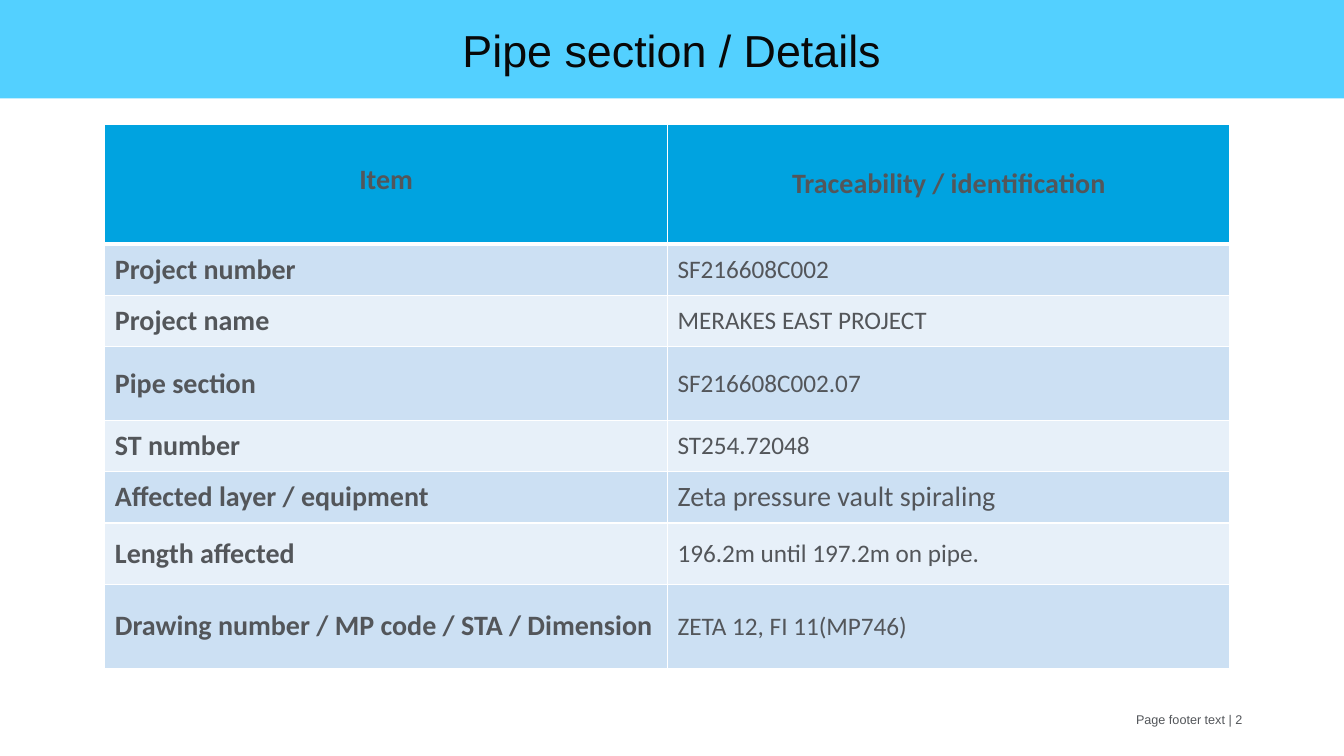
from lxml.etree import SubElement
from pptx import Presentation
from pptx.dml.color import RGBColor
from pptx.enum.text import MSO_ANCHOR, PP_ALIGN
from pptx.oxml.ns import qn
from pptx.util import Inches, Pt

SLIDE_WIDTH, SLIDE_HEIGHT = Inches(13.33), Inches(7.5)
TITLE_BLUE = RGBColor(0x53, 0xD0, 0xFF)
HEADER_BLUE = RGBColor(0x00, 0xA3, 0xE0)
BAND_COLORS = RGBColor(0xCC, 0xE0, 0xF3), RGBColor(0xE7, 0xF0, 0xF9)
TITLE_BLACK = RGBColor(0x08, 0x08, 0x08)
TEXT_GRAY = RGBColor(0x53, 0x56, 0x5A)
WHITE = RGBColor(0xFF, 0xFF, 0xFF)

HEADINGS = "Item", "Traceability / identification"
HEADING_HEIGHT = 1.19
# Item, identification, identification size in points, row height in inches
DETAILS = [
    ("Project number", "SF216608C002", 18, 0.51),
    ("Project name", "MERAKES EAST PROJECT", 18, 0.51),
    ("Pipe section", "SF216608C002.07", 18, 0.73),
    ("ST number", "ST254.72048", 18, 0.51),
    ("Affected layer / equipment", "Zeta pressure vault spiraling", 20, 0.51),
    ("Length affected", "196.2m until 197.2m on pipe.", 18, 0.61),
    ("Drawing number / MP code / STA / Dimension", "ZETA 12, FI 11(MP746)", 18, 0.83),
]


def write(text_frame, text, font_name, size, color, alignment, bold=False):
    text_frame.text = text
    paragraph = text_frame.paragraphs[0]
    paragraph.alignment = alignment
    font = paragraph.font
    font.name, font.size, font.bold = font_name, Pt(size), bold
    font.color.rgb = color


def set_borders(cell, top=1, bottom=1):
    """Give the cell white borders; widths are in points."""
    properties = cell._tc.get_or_add_tcPr()
    for side, width in (("L", 1), ("R", 1), ("T", top), ("B", bottom)):
        line = SubElement(properties, qn(f"a:ln{side}"), w=str(Pt(width)))
        fill = SubElement(line, qn("a:solidFill"))
        SubElement(fill, qn("a:srgbClr"), val=str(WHITE))


def format_cell(cell, text, color, size=20, bold=True, alignment=PP_ALIGN.LEFT,
                top=1, bottom=1):
    set_borders(cell, top, bottom)
    cell.fill.solid()
    cell.fill.fore_color.rgb = color
    cell.vertical_anchor = MSO_ANCHOR.MIDDLE
    write(cell.text_frame, text, "Calibri", size, TEXT_GRAY, alignment, bold)


def add_title(slide, text):
    title = slide.shapes.title
    title.left, title.top = 0, 0
    title.width, title.height = SLIDE_WIDTH, int(SLIDE_HEIGHT * 0.13)
    title.fill.solid()
    title.fill.fore_color.rgb = TITLE_BLUE
    title.text_frame.vertical_anchor = MSO_ANCHOR.MIDDLE
    write(title.text_frame, text, "Arial", 32, TITLE_BLACK, PP_ALIGN.CENTER)


def add_details_table(slide):
    heights = [HEADING_HEIGHT] + [detail[-1] for detail in DETAILS]
    table = slide.shapes.add_table(
        len(heights), len(HEADINGS), Inches(1.04), Inches(1.23),
        Inches(11.16), Inches(sum(heights))).table
    table.horz_banding = False
    for row, height in zip(table.rows, heights):
        row.height = Inches(height)

    for column, heading in enumerate(HEADINGS):
        format_cell(table.cell(0, column), heading, HEADER_BLUE,
                    alignment=PP_ALIGN.CENTER, bottom=3)
    item_heading = table.cell(0, 0)
    item_heading.vertical_anchor = MSO_ANCHOR.TOP
    item_heading.margin_top = Inches(0.39)

    for row, (item, identification, size, _) in enumerate(DETAILS, start=1):
        color = BAND_COLORS[(row - 1) % 2]
        top = 3 if row == 1 else 1
        format_cell(table.cell(row, 0), item, color, top=top)
        format_cell(table.cell(row, 1), identification, color, size, bold=False, top=top)


def add_footer(slide, text):
    footer = slide.shapes.add_textbox(Inches(9.12), Inches(7.01), Inches(3.3), Inches(0.4))
    footer.text_frame.word_wrap = True
    write(footer.text_frame, text, "Arial", 9, TEXT_GRAY, PP_ALIGN.RIGHT)


def main():
    presentation = Presentation()
    presentation.slide_width, presentation.slide_height = SLIDE_WIDTH, SLIDE_HEIGHT
    slide = presentation.slides.add_slide(presentation.slide_layouts.get_by_name("Title Only"))
    add_footer(slide, "Page footer text | 2")
    add_details_table(slide)
    add_title(slide, "Pipe section / Details")
    presentation.save("out.pptx")


if __name__ == "__main__":
    main()
